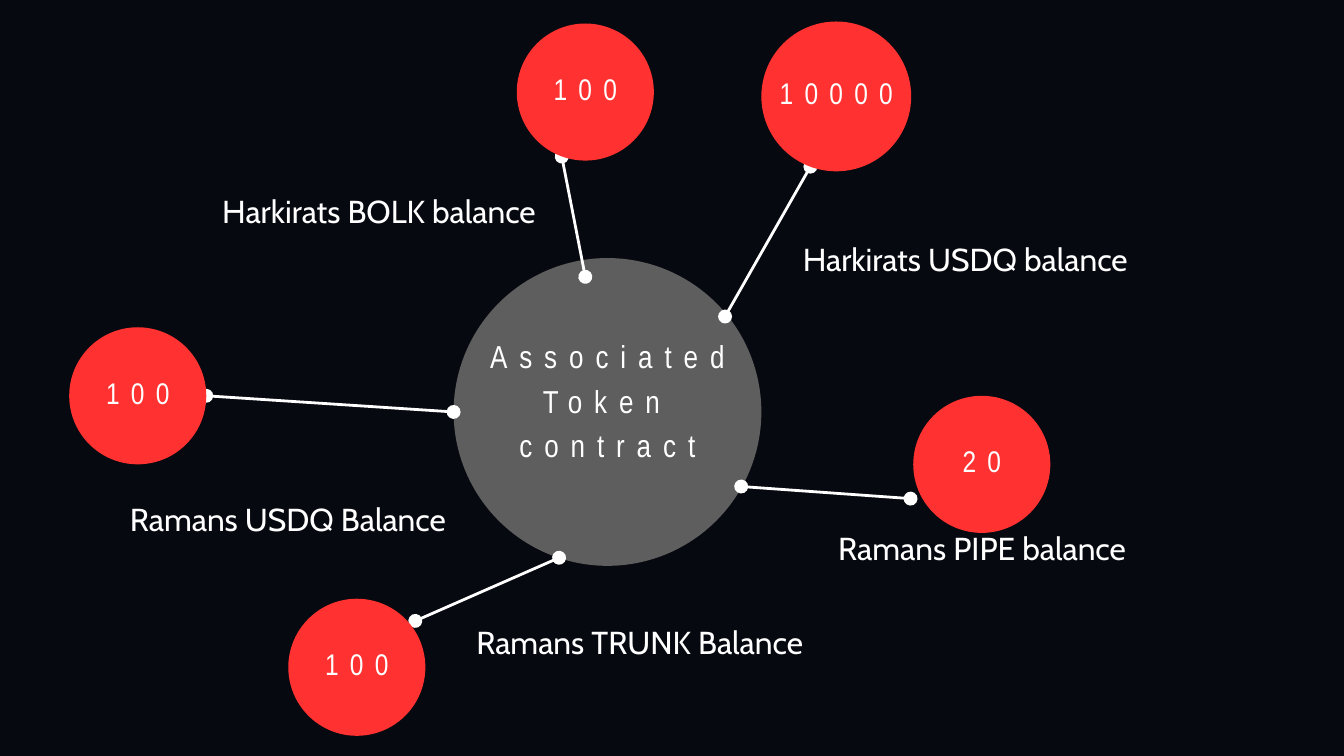
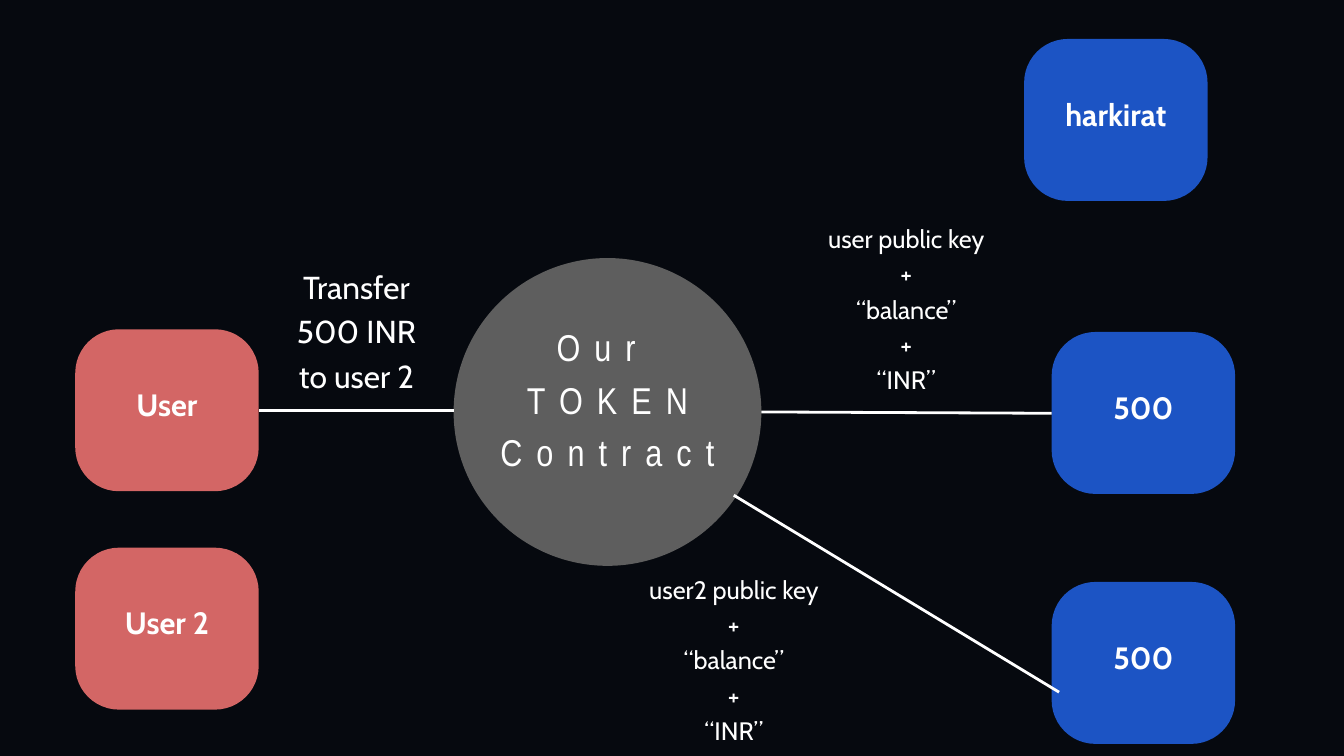
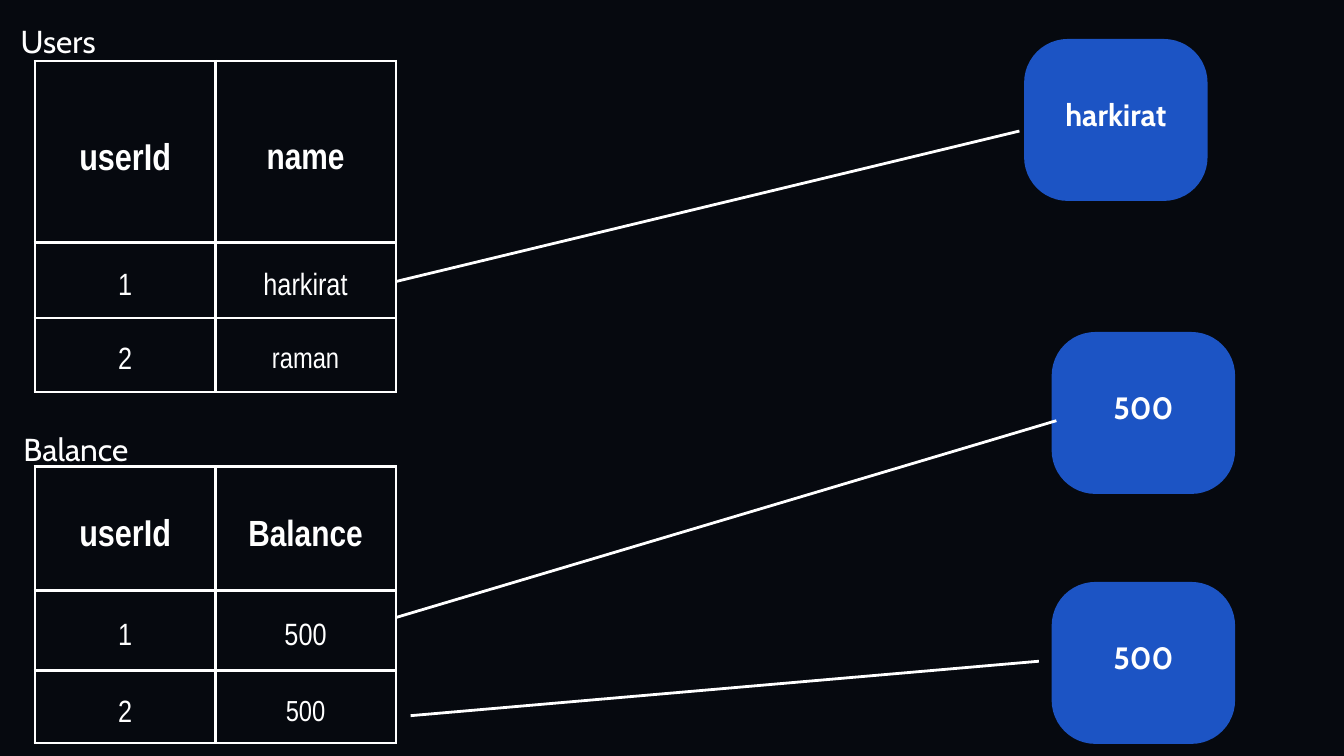
import pptx
import pptx.dml.color
import pptx.enum.shapes
import pptx.enum.text
import pptx.oxml
import pptx.oxml.ns
import pptx.util
from pptx.util import Inches

BACKGROUND = "06090F"
WHITE = "FFFFFF"
HUB_GREY = "5E5E5E"
BALANCE_RED = "FF3131"
USER_PINK = "D36665"
ACCOUNT_BLUE = "1C54C4"
NARROW = "Arial Narrow"
CABIN = "Cabin"
LINE_WIDTH = 3
LINE_SPACING = 1.4
TRACKING = 0.377
HUB = (6.75, 3.84, 4.58)
CARD_SIZE = (2.73, 2.41)
ACCOUNTS = [("harkirat", 15.24, 0.58), ("500", 15.65, 4.94), ("500", 15.65, 8.66)]
USERS = [("User", 1.12, 4.9), ("User 2", 1.12, 8.15)]
TABLE_SIZES = [(40, 39), (33, 33), (33, 31)]

BALANCES = [
    ("10000", (11.33, 0.32, 2.23), (10.79, 4.71, 12.06, 2.48),
     "Harkirats USDQ balance", (11.66, 3.48, 5.41)),
    ("100", (7.69, 0.35, 2.04), (8.71, 4.12, 8.36, 2.33),
     "Harkirats BOLK balance", (2.92, 2.76, 5.44)),
    ("100", (1.03, 4.87, 2.04), (6.75, 6.13, 3.07, 5.89),
     "Ramans USDQ Balance", (1.7, 7.34, 5.17)),
    ("20", (13.59, 5.89, 2.04), (11.03, 7.24, 13.55, 7.42),
     "Ramans PIPE balance", (12.11, 7.78, 5.01)),
    ("100", (4.29, 8.91, 2.04), (8.32, 8.3, 6.18, 9.24),
     "Ramans TRUNK Balance", (6.76, 9.17, 5.52)),
]


def color(value):
    """Turn a hex string into a colour."""
    return pptx.dml.color.RGBColor.from_string(value)


def format_text(text_frame, size, font, bold=False, tracked=False):
    """Centre the paragraphs and format their runs."""
    for paragraph in text_frame.paragraphs:
        paragraph.alignment = pptx.enum.text.PP_ALIGN.CENTER
        paragraph.line_spacing = pptx.util.Pt(round(size * LINE_SPACING, 1))
        for run in paragraph.runs:
            run.font.size = pptx.util.Pt(size)
            run.font.name = font
            run.font.bold = bold
            run.font.color.rgb = color(WHITE)
            if tracked:
                run._r.get_or_add_rPr().set("spc", str(round(size * TRACKING * 10) * 10))


def add_text(shapes, text, box, size, font, inset=0, middle=False, **style):
    """Add a wrapped text box."""
    text_frame = shapes.add_textbox(*map(Inches, box)).text_frame
    text_frame.word_wrap = True
    text_frame.margin_left = text_frame.margin_right = Inches(inset)
    text_frame.margin_top = text_frame.margin_bottom = Inches(inset)
    if middle:
        text_frame.vertical_anchor = pptx.enum.text.MSO_ANCHOR.MIDDLE
    text_frame.text = text
    format_text(text_frame, size, font, **style)


def add_caption(slide, text, left, top, width, size=34):
    """Add a plain caption as high as its lines."""
    height = (text.count("\n") + 1) * size * LINE_SPACING / 72
    add_text(slide.shapes, text, (left, top, width, height), size, CABIN)


def add_filled_shape(shapes, preset, box, fill):
    """Add a preset shape with a flat fill and no outline."""
    shape = shapes.add_shape(preset, *map(Inches, box))
    shape.shadow.inherit = False
    shape.fill.solid()
    shape.fill.fore_color.rgb = color(fill)
    shape.line.fill.background()
    return shape


def add_circle(slide, text, left, top, diameter, fill, size, lift=0):
    """Add a circle with a letter-spaced label."""
    shapes = slide.shapes.add_group_shape().shapes
    add_filled_shape(shapes, pptx.enum.shapes.MSO_SHAPE.OVAL,
                     (left, top, diameter, diameter), fill)
    margin = diameter * 0.094
    label_box = (left + margin, top - lift, diameter - 2 * margin, diameter - margin + lift)
    add_text(shapes, text, label_box, size, NARROW, inset=0.06, middle=True, tracked=True)


def add_card(slide, text, left, top, fill):
    """Add a rounded card with a bold label."""
    shapes = slide.shapes.add_group_shape().shapes
    width, height = CARD_SIZE
    card = add_filled_shape(shapes, pptx.enum.shapes.MSO_SHAPE.ROUNDED_RECTANGLE,
                            (left, top, width, height), fill)
    card.adjustments[0] = 0.27
    add_text(shapes, text, (left, top - 0.27, width, height + 0.27), 33, CABIN,
             inset=0.06, middle=True, bold=True)


def add_line(slide, ends, dots=False):
    """Add a white line, with round ends if dots is set."""
    connector = slide.shapes.add_connector(
        pptx.enum.shapes.MSO_CONNECTOR.STRAIGHT, *map(Inches, ends))
    connector.line.color.rgb = color(WHITE)
    connector.line.width = pptx.util.Pt(LINE_WIDTH)
    if dots:
        outline = connector.line._get_or_add_ln()
        for end in ("headEnd", "tailEnd"):
            outline.append(pptx.oxml.parse_xml(
                f'<a:{end} {pptx.oxml.ns.nsdecls("a")} type="oval" w="lg" len="lg"/>'))
    connector._element.spPr.append(
        pptx.oxml.parse_xml(f'<a:effectLst {pptx.oxml.ns.nsdecls("a")}/>'))


def add_borders(cell):
    """Draw white borders on all sides of a cell."""
    properties = cell._tc.get_or_add_tcPr()
    for side in ("lnL", "lnR", "lnT", "lnB"):
        properties.append(pptx.oxml.parse_xml(
            f'<a:{side} {pptx.oxml.ns.nsdecls("a")} w="{pptx.util.Pt(LINE_WIDTH)}">'
            f'<a:solidFill><a:srgbClr val="{WHITE}"/></a:solidFill></a:{side}>'))


def add_grid(slide, rows, left, top, heights):
    """Add an outlined table with a bold first row."""
    frame = slide.shapes.add_table(len(rows), 2, Inches(left), Inches(top),
                                   Inches(5.37), Inches(sum(heights)))
    table = frame.table
    table.first_row = table.horz_banding = False
    for row, height in zip(table.rows, heights):
        row.height = Inches(height)
    for row_index, values in enumerate(rows):
        for column_index, value in enumerate(values):
            cell = table.cell(row_index, column_index)
            add_borders(cell)
            cell.fill.background()
            cell.margin_left = cell.margin_right = Inches(0.21)
            cell.margin_top = cell.margin_bottom = Inches(0.21)
            cell.vertical_anchor = pptx.enum.text.MSO_ANCHOR.MIDDLE
            cell.text_frame.text = value
            format_text(cell.text_frame, TABLE_SIZES[row_index][column_index], NARROW,
                        bold=row_index == 0)


def add_slide(presentation):
    """Add a blank slide."""
    return presentation.slides.add_slide(presentation.slide_layouts[6])


def build_balances(presentation):
    """Build the slide of token balances around the contract."""
    slide = add_slide(presentation)
    add_circle(slide, "Associated\nToken contract", *HUB, HUB_GREY, 34)
    for amount, circle, ends, caption, caption_place in BALANCES:
        add_line(slide, ends, dots=True)
        add_circle(slide, amount, *circle, BALANCE_RED, 32)
        add_caption(slide, caption, *caption_place)


def build_transfer(presentation):
    """Build the slide of a transfer through the contract."""
    slide = add_slide(presentation)
    add_circle(slide, "Our \nTOKEN\nContract", *HUB, HUB_GREY, 40, lift=0.06)
    for cards, fill in ((USERS, USER_PINK), (ACCOUNTS, ACCOUNT_BLUE)):
        for card in cards:
            add_card(slide, *card, fill)
    for ends in ((3.86, 6.11, 6.75, 6.11), (11.33, 6.13, 15.65, 6.15),
                 (10.92, 7.37, 15.76, 10.3)):
        add_line(slide, ends)
    add_caption(slide, "Transfer\n500 INR\nto user 2", 4.32, 3.89, 1.97)
    for user, place in (("user", (12.13, 3.25, 2.71)), ("user2", (9.46, 8.47, 2.92))):
        add_caption(slide, f"{user} public key\n+\n“balance”\n+\n“INR”", *place, size=27)


def build_tables(presentation):
    """Build the slide that links table rows to accounts."""
    slide = add_slide(presentation)
    for account in ACCOUNTS:
        add_card(slide, *account, ACCOUNT_BLUE)
    add_grid(slide, [("userId", "name"), ("1", "harkirat"), ("2", "raman")],
             0.52, 0.91, (2.7, 1.12, 1.1))
    add_grid(slide, [("userId", "Balance"), ("1", "500"), ("2", "500")],
             0.52, 6.94, (1.85, 1.19, 1.08))
    add_caption(slide, "Users", 0.22, 0.23, 1.29)
    add_caption(slide, "Balance", 0.22, 6.3, 1.82)
    for ends in ((5.89, 4.19, 15.17, 1.95), (5.89, 9.19, 15.72, 6.26),
                 (6.11, 10.65, 15.46, 9.84)):
        add_line(slide, ends)


def main():
    """Build and save the presentation."""
    presentation = pptx.Presentation()
    presentation.slide_width = Inches(20)
    presentation.slide_height = Inches(11.25)
    background = presentation.slide_master.background.fill
    background.solid()
    background.fore_color.rgb = color(BACKGROUND)
    build_balances(presentation)
    build_transfer(presentation)
    build_tables(presentation)
    presentation.save("out.pptx")


if __name__ == "__main__":
    main()
